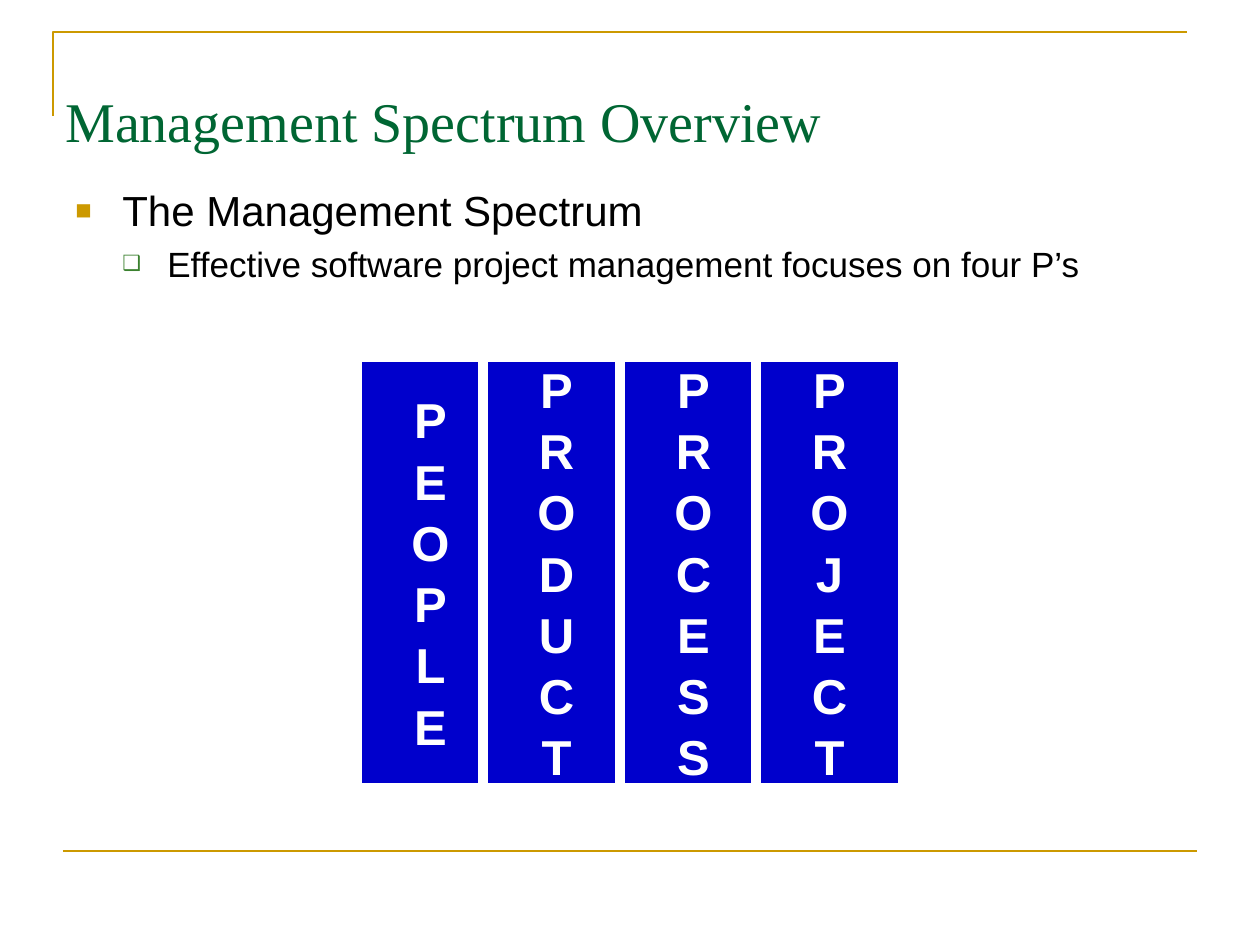
from lxml import etree
from pptx import Presentation
from pptx import util as u
from pptx.dml.color import RGBColor
from pptx.enum import shapes, text
from pptx.oxml.ns import qn

GOLD = RGBColor(0xCC, 0x99, 0x00)
PINE = RGBColor(0x00, 0x66, 0x33)
LEAF = RGBColor(0x3B, 0x81, 0x2F)
BLUE = RGBColor(0x00, 0x00, 0xCC)
WHITE = RGBColor(0xFF, 0xFF, 0xFF)
BLACK = RGBColor(0x00, 0x00, 0x00)
SCALE = 914400 // 126


def px(n):
    """Turn picture pixels into EMU."""
    return u.Emu(n * SCALE)


def write(para, words, size, color, font="Arial", bold=False, align=None, before=0):
    """Put formatted words into a paragraph."""
    run = para.add_run()
    run.text = words
    run.font.size = u.Pt(size)
    run.font.name = font
    run.font.bold = bold
    run.font.color.rgb = color
    para.alignment = align
    para.space_before = u.Pt(before)


def mark(para, char, color, size, left, hang, level=0):
    """Give a paragraph a coloured bullet and a hanging indent."""
    para.level = level
    props = para._p.get_or_add_pPr()
    props.set("marL", str(px(left)))
    props.set("indent", str(px(-hang)))
    tint = etree.SubElement(props, qn("a:buClr"))
    etree.SubElement(tint, qn("a:srgbClr"), val=str(color))
    etree.SubElement(props, qn("a:buSzPct"), val=str(size * 1000))
    etree.SubElement(props, qn("a:buFont"), typeface="Arial")
    etree.SubElement(props, qn("a:buChar"), char=char)


class Deck:
    """Holds the slide and draws its kinds of element."""

    def __init__(self, width, height):
        """Start a file with one blank slide."""
        self.file = Presentation()
        self.file.slide_width = px(width)
        self.file.slide_height = px(height)
        self.slide = self.file.slides.add_slide(self.file.slide_layouts[6])
        self.items = self.slide.shapes

    def corner(self, points):
        """Draw an open gold outline through the points."""
        form = self.items.build_freeform(*points[0], scale=SCALE)
        form.add_line_segments(points[1:], close=False)
        shape = form.convert_to_shape()
        shape.shadow.inherit = False
        shape.fill.background()
        self.stroke(shape.line, GOLD, 1.5)

    def rule(self, x1, x2, y):
        """Draw a level gold line."""
        line = self.items.add_connector(
            shapes.MSO_CONNECTOR.STRAIGHT, px(x1), px(y), px(x2), px(y))
        etree.SubElement(line._element.spPr, qn("a:effectLst"))
        self.stroke(line.line, GOLD, 1.5)

    def stroke(self, line, color, width):
        """Set the colour and width of a line."""
        line.color.rgb = color
        line.width = u.Pt(width)

    def label(self, x, y, w, h, top=6):
        """Add a wrapping text box and return its frame."""
        frame = self.items.add_textbox(px(x), px(y), px(w), px(h)).text_frame
        frame.word_wrap = True
        frame.margin_top = px(top)
        return frame

    def pillar(self, x, y, w, h, word):
        """Draw a blue block with one letter of the word per line."""
        block = self.items.add_shape(
            shapes.MSO_SHAPE.RECTANGLE, px(x), px(y), px(w), px(h))
        block.shadow.inherit = False
        block.fill.solid()
        block.fill.fore_color.rgb = BLUE
        self.stroke(block.line, WHITE, 6)
        frame = block.text_frame
        frame.word_wrap = False
        frame.vertical_anchor = text.MSO_ANCHOR.MIDDLE
        for i, letter in enumerate(word):
            para = frame.add_paragraph() if i else frame.paragraphs[0]
            write(para, letter, 28, WHITE, bold=True,
                  align=text.PP_ALIGN.CENTER, before=1.4)


def main():
    """Build the slide and save it."""
    deck = Deck(1260, 945)
    deck.corner([(53, 116), (53, 32), (1187, 32)])
    deck.rule(63, 1197, 851)

    title = deck.label(53, 73, 1134, 158, top=13)
    write(title.paragraphs[0], "Management Spectrum Overview", 32, PINE,
          font="Times New Roman")

    pillars = {"PEOPLE": 357, "PRODUCT": 483, "PROCESS": 620, "PROJECT": 756}
    for word, left in pillars.items():
        deck.pillar(left, 357, 147, 431, word)

    body = deck.label(63, 179, 1134, 624)
    head = body.paragraphs[0]
    write(head, "The Management Spectrum", 24, BLACK, before=4.8)
    mark(head, "■", GOLD, 65, 47, 47)
    point = body.add_paragraph()
    write(point, "Effective software project management focuses on four P’s",
          20, BLACK, before=4)
    mark(point, "❑", LEAF, 60, 92, 45, level=1)

    deck.file.save("out.pptx")


main()
